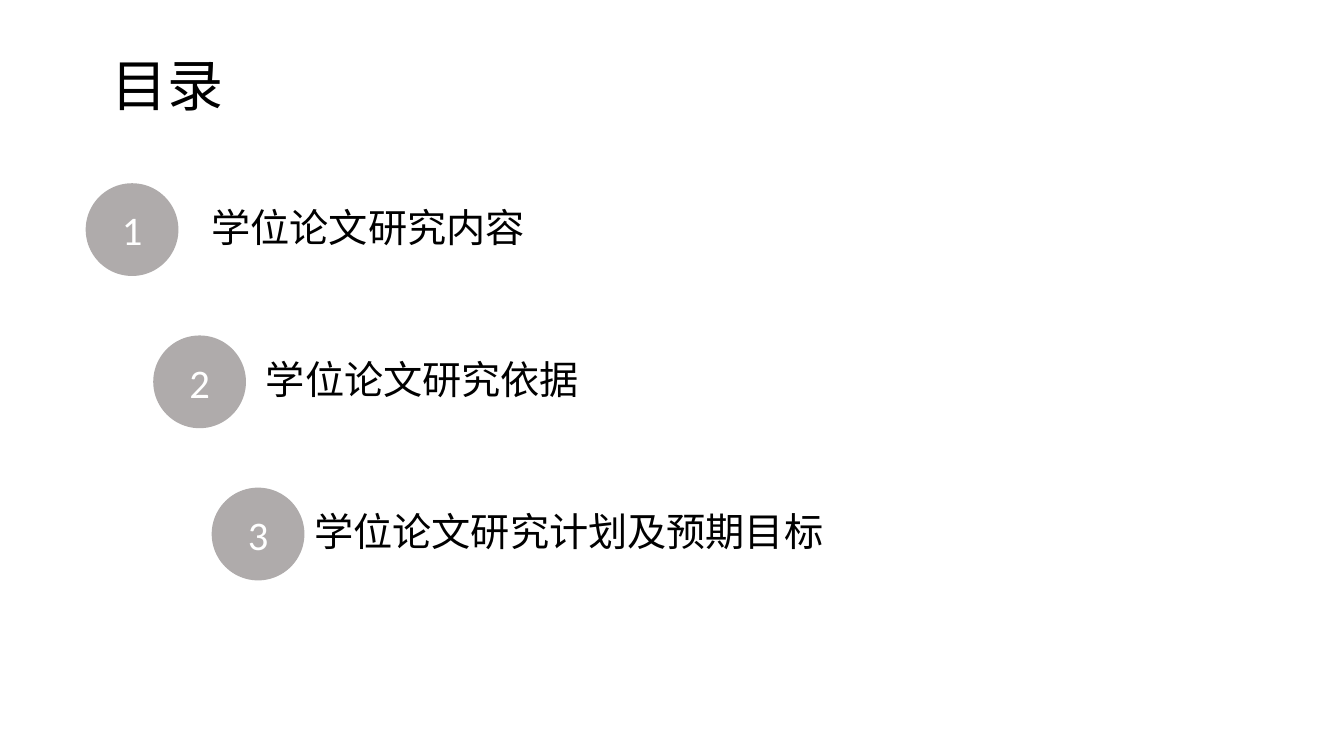
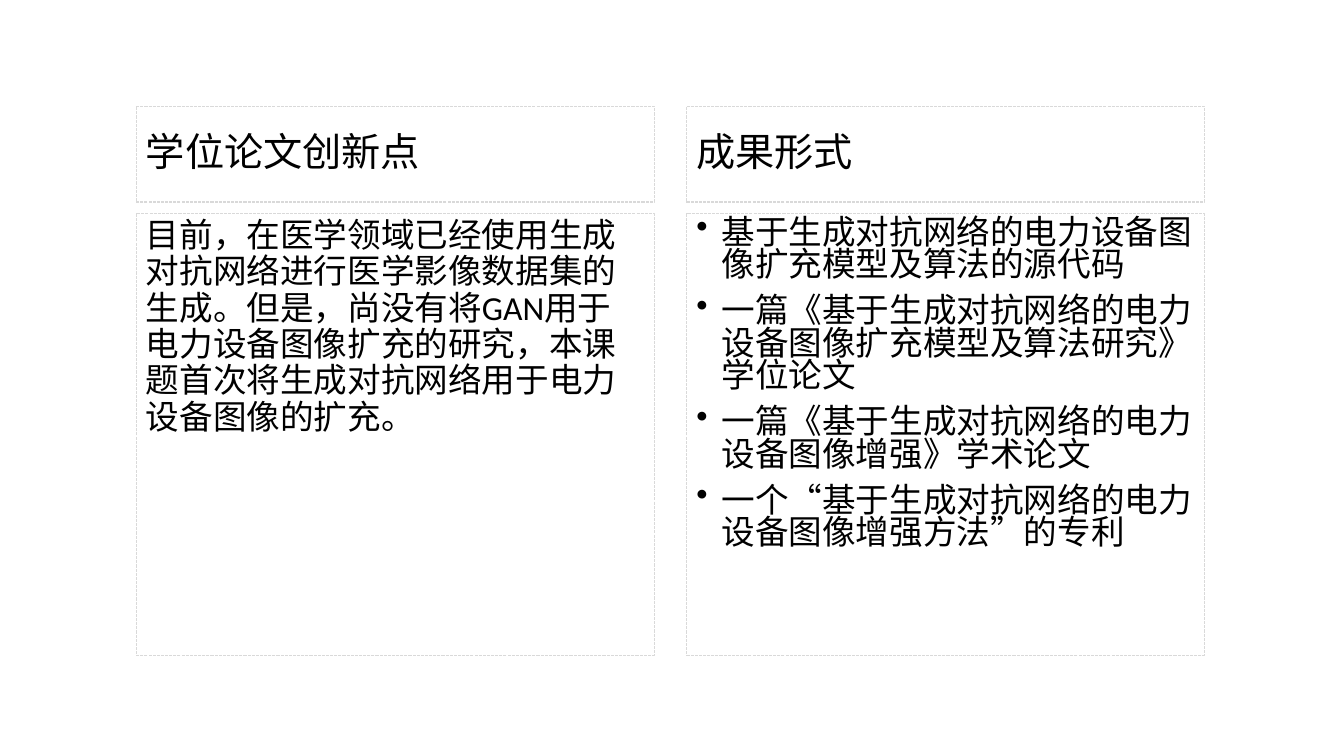
from dataclasses import dataclass

from lxml.etree import SubElement
from pptx import Presentation
from pptx.dml.color import RGBColor
from pptx.enum.dml import MSO_LINE
from pptx.enum.lang import MSO_LANGUAGE_ID
from pptx.enum.shapes import MSO_SHAPE
from pptx.enum.text import MSO_ANCHOR, MSO_AUTO_SIZE, PP_ALIGN
from pptx.oxml.ns import qn
from pptx.shapes.autoshape import Shape
from pptx.slide import Slide
from pptx.text.text import TextFrame
from pptx.util import Pt


@dataclass(frozen=True)
class Theme:
    """Colours, type sizes and spacing of the deck."""
    font: str = "Calibri"
    ink: RGBColor = RGBColor(0x00, 0x00, 0x00)
    paper: RGBColor = RGBColor(0xFF, 0xFF, 0xFF)
    badge: RGBColor = RGBColor(0xAF, 0xAB, 0xAB)
    frame: RGBColor = RGBColor(0xD9, 0xD9, 0xD9)
    title_size: float = 40
    number_size: float = 29
    heading_size: float = 28
    body_size: float = 24
    frame_width: float = 0.75
    space_before: float = 10
    bullet_indent: float = 18


@dataclass(frozen=True)
class Box:
    """A rectangle in points."""
    left: float
    top: float
    width: float
    height: float

    def lengths(self) -> tuple[Pt, Pt, Pt, Pt]:
        """Return the four lengths that the shape methods expect."""
        return Pt(self.left), Pt(self.top), Pt(self.width), Pt(self.height)


@dataclass(frozen=True)
class Chapter:
    """A numbered entry of the contents slide."""
    label: str
    badge_left: float
    label_left: float


@dataclass(frozen=True)
class Column:
    """A heading over a framed body."""
    heading: str
    body: tuple[str, ...]
    bulleted: bool = False
    line_spacing: float = 0.9


THEME = Theme()

TITLE_BOX = Box(72.72, 32.4, 534.24, 55.44)
CHAPTER_CENTRE, CHAPTER_PITCH = 164, 108.72
BADGE_SIZE = 66.24
LABEL_WIDTH, LABEL_HEIGHT = 584.64, 77.04
CHAPTERS = (
    Chapter("学位论文研究内容", 61.2, 144),
    Chapter("学位论文研究依据", 109.44, 182.88),
    Chapter("学位论文研究计划及预期目标", 151.2, 217.44),
)

COLUMN_LEFT, COLUMN_PITCH, COLUMN_WIDTH = 97.2, 393.12, 370.08
HEADING_TOP, HEADING_HEIGHT = 75.9, 68.4
BODY_TOP, BODY_HEIGHT = 152.64, 315.36
COLUMNS = (
    Column("学位论文创新点", (
        "目前，在医学领域已经使用生成对抗网络进行医学影像数据集的生成。"
        "但是，尚没有将GAN用于电力设备图像扩充的研究，"
        "本课题首次将生成对抗网络用于电力设备图像的扩充。",
    )),
    Column("成果形式", (
        "基于生成对抗网络的电力设备图像扩充模型及算法的源代码",
        "一篇《基于生成对抗网络的电力设备图像扩充模型及算法研究》学位论文",
        "一篇《基于生成对抗网络的电力设备图像增强》学术论文",
        "一个“基于生成对抗网络的电力设备图像增强方法”的专利",
    ), bulleted=True, line_spacing=0.8),
)


def write(frame: TextFrame, texts: tuple[str, ...], size: float,
          color: RGBColor = THEME.ink, align: PP_ALIGN = PP_ALIGN.LEFT,
          anchor: MSO_ANCHOR = MSO_ANCHOR.TOP, line_spacing: float | None = None,
          bulleted: bool = False) -> None:
    """Write one paragraph per text, spaced when a line spacing is given."""
    frame.word_wrap = True
    frame.vertical_anchor = anchor
    for index, text in enumerate(texts):
        paragraph = frame.add_paragraph() if index else frame.paragraphs[0]
        paragraph.alignment = align
        if line_spacing is not None:
            paragraph.line_spacing = line_spacing
            paragraph.space_before = Pt(THEME.space_before)
        if bulleted:
            properties = paragraph._p.get_or_add_pPr()
            indent = Pt(THEME.bullet_indent)
            properties.set("marL", str(indent))
            properties.set("indent", str(-indent))
            SubElement(properties, qn("a:buChar")).set("char", "•")
        run = paragraph.add_run()
        run.text = text
        run.font.name = THEME.font
        run.font.size = Pt(size)
        run.font.color.rgb = color
        run.font.language_id = MSO_LANGUAGE_ID.SIMPLIFIED_CHINESE


def add_badge(slide: Slide, box: Box, number: int) -> None:
    """Draw a filled circle with a chapter number."""
    badge = slide.shapes.add_shape(MSO_SHAPE.OVAL, *box.lengths())
    badge.shadow.inherit = False
    badge.fill.solid()
    badge.fill.fore_color.rgb = THEME.badge
    badge.line.fill.background()
    write(badge.text_frame, (str(number),), THEME.number_size, THEME.paper,
          PP_ALIGN.CENTER, MSO_ANCHOR.MIDDLE)


def add_panel(slide: Slide, box: Box) -> Shape:
    """Draw an unfilled rectangle with a dashed frame."""
    panel = slide.shapes.add_shape(MSO_SHAPE.RECTANGLE, *box.lengths())
    panel.shadow.inherit = False
    panel.fill.background()
    panel.line.color.rgb = THEME.frame
    panel.line.width = Pt(THEME.frame_width)
    panel.line.dash_style = MSO_LINE.SQUARE_DOT
    return panel


def add_chapter(slide: Slide, index: int, chapter: Chapter) -> None:
    """Draw a badge and its label on a common centre line."""
    centre = CHAPTER_CENTRE + index * CHAPTER_PITCH
    add_badge(slide, Box(chapter.badge_left, centre - BADGE_SIZE / 2,
                         BADGE_SIZE, BADGE_SIZE), index + 1)
    label_box = Box(chapter.label_left, centre - LABEL_HEIGHT / 2,
                    LABEL_WIDTH, LABEL_HEIGHT)
    label = slide.shapes.add_textbox(*label_box.lengths())
    write(label.text_frame, (chapter.label,), THEME.heading_size,
          anchor=MSO_ANCHOR.MIDDLE, line_spacing=0.9)


def add_column(slide: Slide, index: int, column: Column) -> None:
    """Draw a heading panel and the body panel below it."""
    left = COLUMN_LEFT + index * COLUMN_PITCH
    heading = add_panel(slide, Box(left, HEADING_TOP, COLUMN_WIDTH, HEADING_HEIGHT))
    write(heading.text_frame, (column.heading,), THEME.heading_size,
          anchor=MSO_ANCHOR.MIDDLE, line_spacing=0.9)
    body = add_panel(slide, Box(left, BODY_TOP, COLUMN_WIDTH, BODY_HEIGHT))
    write(body.text_frame, column.body, THEME.body_size,
          line_spacing=column.line_spacing, bulleted=column.bulleted)


def build_contents(slide: Slide) -> None:
    """Build the contents slide."""
    for index, chapter in enumerate(CHAPTERS):
        add_chapter(slide, index, chapter)
    title = slide.shapes.add_textbox(*TITLE_BOX.lengths())
    write(title.text_frame, ("目录",), THEME.title_size)
    title.text_frame.auto_size = MSO_AUTO_SIZE.SHAPE_TO_FIT_TEXT


def build_results(slide: Slide) -> None:
    """Build the slide on innovations and forms of results."""
    for index, column in enumerate(COLUMNS):
        add_column(slide, index, column)


def main() -> None:
    """Build and save the deck."""
    deck = Presentation()
    deck.slide_width, deck.slide_height = Pt(960), Pt(540)
    blank = deck.slide_layouts[6]
    for build in (build_contents, build_results):
        slide = deck.slides.add_slide(blank)
        slide.background.fill.solid()
        slide.background.fill.fore_color.rgb = THEME.paper
        build(slide)
    deck.save("out.pptx")


main()
